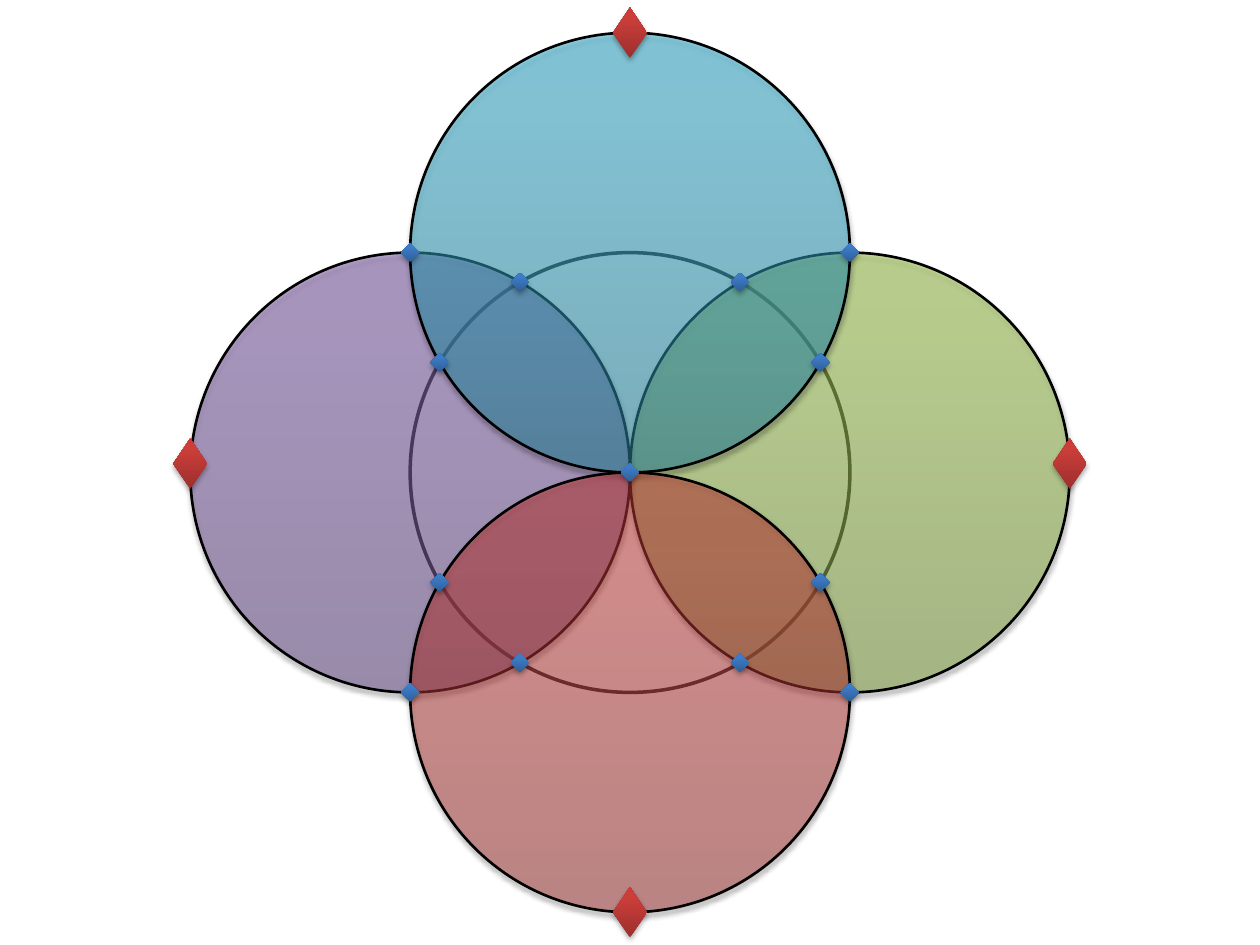
"""Builds a slide of four overlapping circles with their crossings marked."""
from itertools import product
from math import cos, radians, sin

from lxml import etree
from pptx import Presentation, util as u
from pptx.dml.color import RGBColor
from pptx.enum import shapes
from pptx.oxml.ns import nsdecls, qn

W, H = 10, 7.5
R = 1.745
DIAMOND = shapes.MSO_SHAPE.DIAMOND
OVAL = shapes.MSO_SHAPE.OVAL
RED = ("9C2F2D", "CB3E3A", "CE3B37")
BLUE = ("2F5F99", "3D7CC7", "3A7CCB")
GREEN = ("779737", "9BC348", "9DC746")
PURPLE = ("5F4480", "7B58A6", "7C57A8")
TEAL = ("2A88A2", "37B1D2", "34B4D6")

prs = Presentation()
prs.slide_width, prs.slide_height = u.Inches(W), u.Inches(H)
slide = prs.slides.add_slide(prs.slide_layouts[6])


def color(value, alpha=100):
    return f'<a:srgbClr val="{value}"><a:alpha val="{alpha * 1000}"/></a:srgbClr>'


def add(kind, x, y, w, h, grad=None, alpha=100, line=None, width=1.5):
    """Centre a shape x, y radii from the middle of the slide."""
    s = slide.shapes.add_shape(
        kind, u.Inches(W / 2 + x * R - w / 2), u.Inches(H / 2 + y * R - h / 2),
        u.Inches(w), u.Inches(h))
    s.shadow.inherit = False
    s.fill.background()
    if line:
        s.line.color.rgb = RGBColor.from_string(line)
        s.line.width = u.Pt(width)
    else:
        s.line.fill.background()
    if grad:
        sp = s._element.spPr
        stops = "".join(f'<a:gs pos="{pos * 1000}">{color(c, alpha)}</a:gs>'
                        for pos, c in zip((0, 80, 100), grad))
        sp.replace(sp.find(qn("a:noFill")), etree.fromstring(
            f'<a:gradFill {nsdecls("a")} rotWithShape="1"><a:gsLst>{stops}</a:gsLst>'
            '<a:lin ang="16200000" scaled="0"/></a:gradFill>'))
        sp.find(qn("a:effectLst")).append(etree.fromstring(
            f'<a:outerShdw {nsdecls("a")} blurRad="{u.Pt(3.1)}" dist="{u.Pt(1.8)}" '
            f'dir="5400000" rotWithShape="0">{color("000000", 35)}</a:outerShdw>'))


add(OVAL, 0, 0, 2 * R, 2 * R, line="262626", width=2)
for x, y, grad, alpha in ((1, 0, GREEN, 50), (-1, 0, PURPLE, 50),
                          (0, -1, TEAL, 51), (0, 1, RED, 48)):
    add(OVAL, x, y, 2 * R, 2 * R, grad=grad, alpha=alpha, line="000000")

for x, y in ((0, -2), (2, -0.04), (-2, -0.04), (0, 2)):
    add(DIAMOND, x, y, 0.27, 0.4, grad=RED)

corners = list(product((-1, 1), repeat=2))
crossings = [(cos(radians(a)), sin(radians(a))) for a in range(0, 360, 30) if a % 90]
for x, y in corners + crossings + [(0, 0)]:
    add(DIAMOND, x, y, 0.15, 0.15, grad=BLUE)

prs.save("out.pptx")
